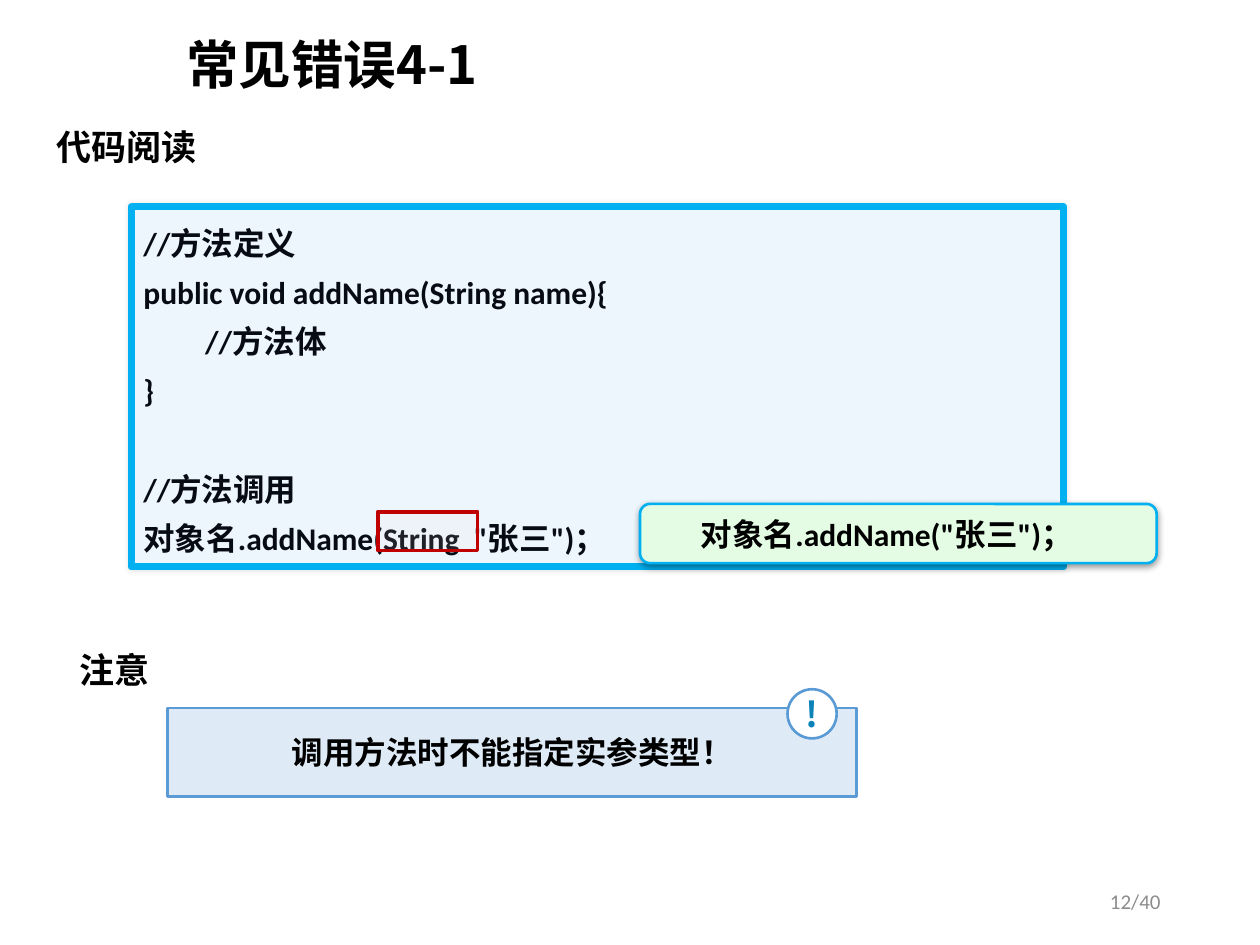
from lxml import etree
from pptx import Presentation, util as u
from pptx.dml.color import RGBColor
from pptx.enum import shapes, text
from pptx.oxml import ns

BLACK = RGBColor(0x00, 0x00, 0x00)
INK = RGBColor(0x06, 0x0B, 0x14)
GRAY = RGBColor(0x8C, 0x8C, 0x8C)
WHITE = RGBColor(0xFF, 0xFF, 0xFF)
PALE = RGBColor(0xED, 0xF5, 0xFD)
CYAN = RGBColor(0x00, 0xB0, 0xF0)
PINK = RGBColor(0xFF, 0xDD, 0xDD)
RED = RGBColor(0xC0, 0x00, 0x00)
GREEN = RGBColor(0xE4, 0xFC, 0xE4)
SKY = RGBColor(0xDE, 0xEB, 0xF7)
BLUE = RGBColor(0x5B, 0x9B, 0xD5)
TEAL = RGBColor(0x0C, 0x83, 0xB8)

LATIN, HAN = "Calibri", "Noto Sans CJK SC"
KIND = shapes.MSO_SHAPE
ALIGN = text.PP_ALIGN
MID, TOP = text.MSO_ANCHOR.MIDDLE, text.MSO_ANCHOR.TOP


def glow(alpha, blur, dist, angle):
    """Return an effect list with one outer shadow; lengths in points."""
    return etree.fromstring(
        f'<a:effectLst {ns.nsdecls("a")}>'
        f'<a:outerShdw blurRad="{u.Pt(blur)}" dist="{u.Pt(dist)}" '
        f'dir="{angle * 60000}" algn="ctr" rotWithShape="0">'
        f'<a:srgbClr val="000000"><a:alpha val="{alpha * 1000}"/></a:srgbClr>'
        '</a:outerShdw></a:effectLst>')


def write(shape, lines, size, color, face=HAN, bold=True, align=ALIGN.LEFT,
          anchor=MID, wrap=True):
    """Fill the shape with one formatted paragraph per line."""
    frame = shape.text_frame
    frame.word_wrap, frame.vertical_anchor = wrap, anchor
    look = {"size": u.Pt(size), "bold": bold, "name": face}
    for i, line in enumerate(lines):
        para = frame.add_paragraph() if i else frame.paragraphs[0]
        para.alignment = align
        run = para.add_run()
        run.text = line
        for key, value in look.items():
            setattr(run.font, key, value)
        run.font.color.rgb = color
        latin = run.font._element.find(ns.qn("a:latin"))
        east = etree.Element(ns.qn("a:ea"), typeface=HAN)
        latin.addnext(east)
    return frame


deck = Presentation()
deck.slide_width, deck.slide_height = u.Inches(10), u.Inches(7.5)
slide = deck.slides.add_slide(deck.slide_layouts[5])

# Title
title = slide.shapes.title
place = {"left": 1.38, "top": 0.1, "width": 8.62, "height": 0.87}
for key, value in place.items():
    setattr(title, key, u.Inches(value))
write(title, ["常见错误4-1"], 30, BLACK).paragraphs[0].line_spacing = 0.9

# Panels: kind, place, corner, fill, line, line width, shadow
panels = {
    "code": (KIND.ROUNDED_RECTANGLE, (1.04, 1.64, 7.4, 2.86), 0,
             PALE, CYAN, 4, (10, 3, 0, 0)),
    "mark": (KIND.RECTANGLE, (3, 4.06, 0.79, 0.31), None,
             PINK, RED, 2.25, None),
    "fix": (KIND.ROUNDED_RECTANGLE, (5.08, 4, 4.1, 0.47), 0.17,
            GREEN, CYAN, 1.5, (40, 4, 1, 90)),
    "note": (KIND.ROUNDED_RECTANGLE, (1.33, 5.62, 5.47, 0.7), 0,
             SKY, BLUE, 1.5, None),
    "badge": (KIND.OVAL, (6.25, 5.47, 0.39, 0.39), None,
              WHITE, BLUE, 1.5, None),
}
made = {}
for name, (kind, spot, corner, fill, edge, width, shade) in panels.items():
    panel = slide.shapes.add_shape(kind, *map(u.Inches, spot))
    panel.shadow.inherit = False
    if corner is not None:
        panel.adjustments[0] = corner
    panel.fill.solid()
    panel.fill.fore_color.rgb = fill
    panel.line.color.rgb = edge
    panel.line.width = u.Pt(width)
    if shade:
        props = panel._element.spPr
        props.replace(props.find(ns.qn("a:effectLst")), glow(*shade))
    made[name] = panel

# The red frame lets the code show through
tint = made["mark"]._element.spPr.find(ns.qn("a:solidFill"))[0]
etree.SubElement(tint, ns.qn("a:alpha"), val="10000")

# Code listing
code = ["//方法定义", "public void addName(String name){", "\t//方法体", "}",
        "//方法调用", "对象名.addName(String  \"张三\")；"]
frame = write(made["code"], code, 18, INK, LATIN, anchor=TOP)
for para in frame.paragraphs:
    para.line_spacing = 1.3
    if para.text == "//方法调用":
        para.space_before = u.Pt(28)
    tabs = etree.SubElement(para._p.get_or_add_pPr(), ns.qn("a:tabLst"))
    etree.SubElement(tabs, ns.qn("a:tab"), pos=str(u.Inches(0.49)), algn="l")

# Corrected call, note and badge
frame = write(made["fix"], ["对象名.addName(\"张三\")；"], 18, BLACK, LATIN)
frame.margin_left = u.Inches(0.46)
write(made["note"], ["调用方法时不能指定实参类型！"], 18, BLACK,
      align=ALIGN.CENTER)
frame = write(made["badge"], ["!"], 20, TEAL, align=ALIGN.CENTER)
for side in ("left", "right", "top", "bottom"):
    setattr(frame, f"margin_{side}", 0)

# Section headings with shadowed letters
for label, spot in (("代码阅读", (0.35, 0.94, 1.33, 0.44)),
                    ("注意", (0.53, 5.09, 0.77, 0.44))):
    head = slide.shapes.add_textbox(*map(u.Inches, spot))
    frame = write(head, [label], 20, BLACK, wrap=False)
    font = frame.paragraphs[0].runs[0].font
    font._element.find(ns.qn("a:solidFill")).addnext(glow(40, 3, 2, 45))

# Page number
page = slide.shapes.add_textbox(*map(u.Inches, (7.06, 6.95, 2.25, 0.4)))
write(page, ["12/40"], 12, GRAY, LATIN, bold=False, align=ALIGN.RIGHT)

deck.save("out.pptx")
